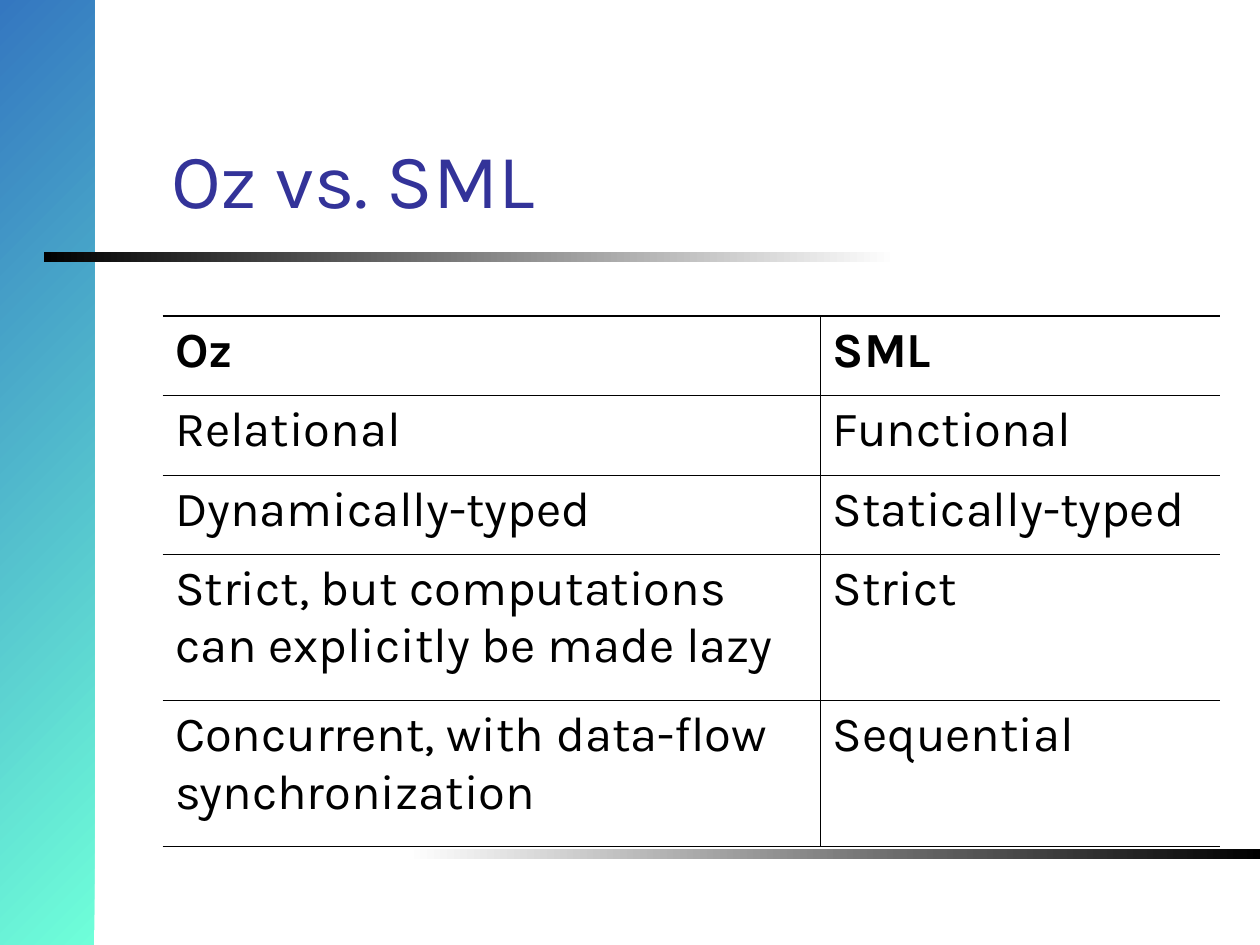
from lxml import etree
from pptx import Presentation
from pptx.dml.color import RGBColor
from pptx.enum.shapes import MSO_SHAPE
from pptx.enum.text import MSO_ANCHOR
from pptx.oxml.ns import qn
from pptx.util import Inches, Pt

RECTANGLE = MSO_SHAPE.RECTANGLE
BOTTOM = MSO_ANCHOR.BOTTOM

BLACK = RGBColor(0x00, 0x00, 0x00)
WHITE = RGBColor(0xFF, 0xFF, 0xFF)
INDIGO = RGBColor(0x33, 0x33, 0x99)
AQUA = RGBColor(0x6F, 0xFF, 0xD9)
BLUE = RGBColor(0x34, 0x77, 0xC0)

FONT = "Karla"
THIN, THICK = Pt(0.45), Pt(1.08)
COLUMN_WIDTHS = [5.22, 3.17]
ROW_HEIGHTS = [0.63, 0.63, 0.63, 1.16, 1.16]
COMPARISON = [
    ("Oz", "SML"),
    ("Relational", "Functional"),
    ("Dynamically-typed", "Statically-typed"),
    ("Strict, but computations can explicitly be made lazy", "Strict"),
    ("Concurrent, with data-flow synchronization", "Sequential"),
]


def add_gradient_bar(slide, left, top, width, height, start, end, angle):
    bar = slide.shapes.add_shape(
        RECTANGLE, Inches(left), Inches(top), Inches(width), Inches(height))
    bar.shadow.inherit = False
    bar.line.fill.background()
    bar.fill.gradient()
    bar.fill.gradient_angle = angle
    for stop, position, color in zip(bar.fill.gradient_stops, (0, 1), (start, end)):
        stop.position = position
        stop.color.rgb = color


def format_text(text_frame, size, color, bold=False):
    for paragraph in text_frame.paragraphs:
        for run in paragraph.runs:
            run.font.name = FONT
            run.font.size = Pt(size)
            run.font.color.rgb = color
            run.font.bold = bold


def add_title(slide, text):
    title = slide.shapes.add_textbox(
        Inches(1.26), Inches(0.23), Inches(8.52), Inches(1.6))
    frame = title.text_frame
    frame.word_wrap = True
    frame.vertical_anchor = BOTTOM
    frame.text = text
    format_text(frame, 44, INDIGO)


def set_border(cell, side, width):
    border = etree.SubElement(cell._tc.get_or_add_tcPr(), qn(f"a:ln{side}"))
    if width is None:
        etree.SubElement(border, qn("a:noFill"))
        return
    border.set("w", str(width))
    fill = etree.SubElement(border, qn("a:solidFill"))
    etree.SubElement(fill, qn("a:srgbClr"), val=str(BLACK))


def add_comparison_table(slide):
    row_count, column_count = len(COMPARISON), len(COLUMN_WIDTHS)
    table = slide.shapes.add_table(
        row_count, column_count, Inches(1.29), Inches(2.51),
        Inches(sum(COLUMN_WIDTHS)), Inches(sum(ROW_HEIGHTS))).table
    table.horz_banding = False
    for column, width in zip(table.columns, COLUMN_WIDTHS):
        column.width = Inches(width)
    for row, height in zip(table.rows, ROW_HEIGHTS):
        row.height = Inches(height)

    row_rules = [THICK, THICK] + [THIN] * (row_count - 2) + [THICK]
    column_rules = [None] + [THIN] * (column_count - 1) + [None]
    for r, texts in enumerate(COMPARISON):
        for c, text in enumerate(texts):
            cell = table.cell(r, c)
            cell.text_frame.text = text
            format_text(cell.text_frame, 28, BLACK, bold=r == 0)
            set_border(cell, "L", column_rules[c])
            set_border(cell, "R", column_rules[c + 1])
            set_border(cell, "T", row_rules[r])
            set_border(cell, "B", row_rules[r + 1])
            cell.fill.background()


def main():
    presentation = Presentation()
    presentation.slide_width = Inches(10)
    presentation.slide_height = Inches(7.5)
    slide = presentation.slides.add_slide(presentation.slide_layouts[6])
    add_gradient_bar(slide, 0, 0, 0.75, 7.5, AQUA, BLUE, 135)
    add_gradient_bar(slide, 0.35, 2, 6.77, 0.08, WHITE, BLACK, 180)
    add_gradient_bar(slide, 3.23, 6.74, 6.77, 0.08, BLACK, WHITE, 180)
    add_title(slide, "Oz vs. SML")
    add_comparison_table(slide)
    presentation.save("out.pptx")


if __name__ == "__main__":
    main()
